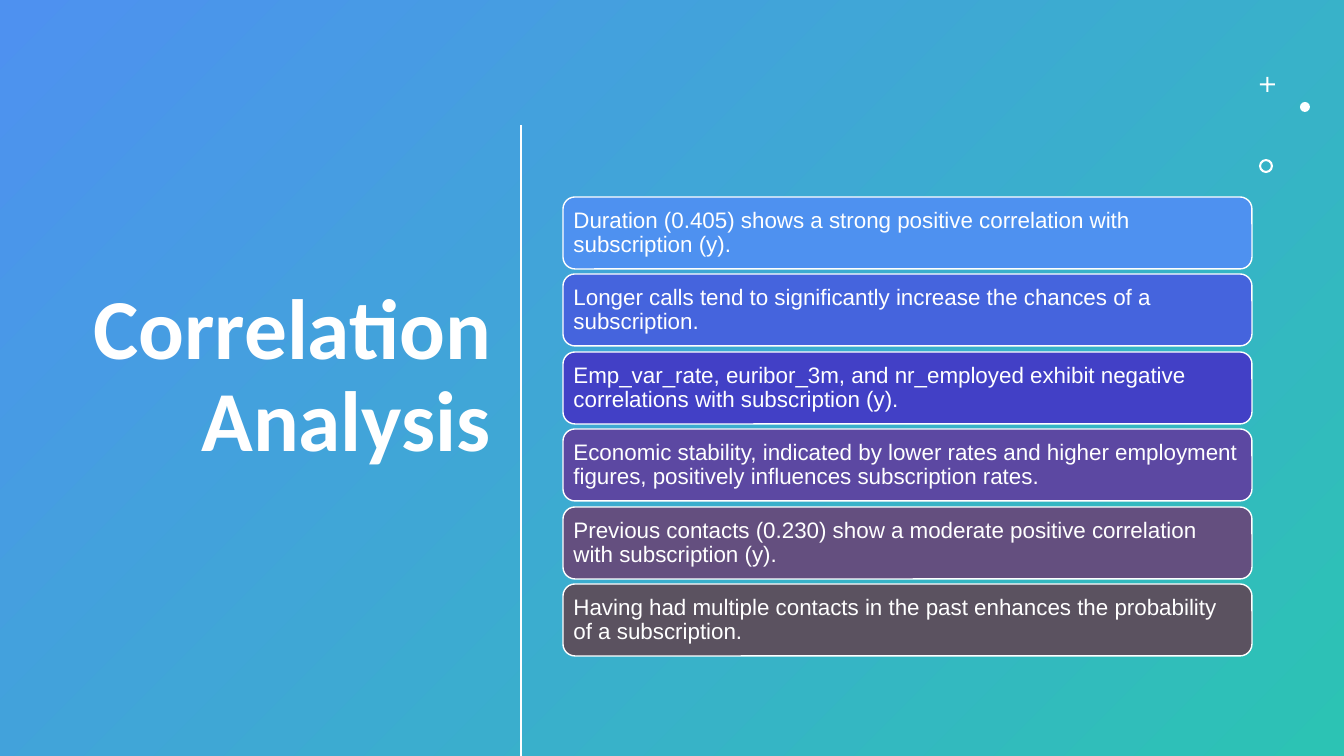
"""Build the Correlation Analysis slide."""
from lxml import etree
from pptx import Presentation
from pptx.dml.color import RGBColor
from pptx.enum.shapes import MSO_CONNECTOR, MSO_SHAPE
from pptx.enum.text import MSO_ANCHOR, PP_ALIGN
from pptx.oxml.ns import qn
from pptx.util import Pt

RECT, CARD = MSO_SHAPE.RECTANGLE, MSO_SHAPE.ROUNDED_RECTANGLE
CROSS, OVAL, RING = MSO_SHAPE.CROSS, MSO_SHAPE.OVAL, MSO_SHAPE.DONUT
LINE = MSO_CONNECTOR.STRAIGHT
MIDDLE = MSO_ANCHOR.MIDDLE
LEFT, RIGHT = PP_ALIGN.LEFT, PP_ALIGN.RIGHT

WHITE = RGBColor(0xFF, 0xFF, 0xFF)
BLUE = RGBColor(0x4E, 0x91, 0xF0)
TEAL = RGBColor(0x2C, 0xC3, 0xB4)
ROYAL = RGBColor(0x45, 0x64, 0xDD)
INDIGO = RGBColor(0x42, 0x40, 0xC6)
VIOLET = RGBColor(0x5C, 0x48, 0xA2)
PLUM = RGBColor(0x64, 0x4F, 0x7F)
GREY = RGBColor(0x5B, 0x52, 0x60)

SCALE = 914400 / 100.8


def px(*sizes):
    return [round(size * SCALE) for size in sizes]


def write(shape, text, font, size, align, inset, bold=False):
    frame = shape.text_frame
    frame.word_wrap = True
    frame.vertical_anchor = MIDDLE
    frame.margin_left, frame.margin_right = px(inset, inset)
    para = frame.paragraphs[0]
    para.alignment = align
    para.line_spacing = 0.9
    run = para.add_run()
    run.text = text
    run.font.name = font
    run.font.size = Pt(size)
    run.font.bold = bold
    run.font.color.rgb = WHITE


deck = Presentation()
deck.slide_width, deck.slide_height = px(1344, 756)
slide = deck.slides.add_slide(deck.slide_layouts[6])
shapes = slide.shapes

back = shapes.add_shape(RECT, *px(0, 0, 1344, 756))
back.shadow.inherit = False
back.line.fill.background()
back.fill.gradient()
back.fill.gradient_angle = 315
for stop, color in zip(back.fill.gradient_stops, (BLUE, TEAL)):
    stop.color.rgb = color

title = shapes.add_textbox(*px(20, 70, 481, 616))
write(title, "Correlation Analysis", "Calibri", 61, RIGHT, 10, True)

rule = shapes.add_connector(LINE, *px(521, 125, 521, 756))
rule.line.color.rgb = WHITE
rule.line.width = Pt(2)
etree.SubElement(rule.element.spPr, qn("a:effectLst"))

marks = [
    (CROSS, 1260, 77, 15, 0.43),
    (OVAL, 1300, 102, 10, None),
    (RING, 1259, 159, 14, 0.15),
]
for kind, left, top, size, adjust in marks:
    mark = shapes.add_shape(kind, *px(left, top, size, size))
    mark.shadow.inherit = False
    mark.fill.solid()
    mark.fill.fore_color.rgb = WHITE
    mark.line.fill.background()
    if adjust:
        mark.adjustments[0] = adjust

cards = [
    (BLUE, "Duration (0.405) shows a strong positive correlation with subscription (y)."),
    (ROYAL, "Longer calls tend to significantly increase the chances of a subscription."),
    (INDIGO, "Emp_var_rate, euribor_3m, and nr_employed exhibit negative correlations with subscription (y)."),
    (VIOLET, "Economic stability, indicated by lower rates and higher employment figures, "
             "positively influences subscription rates."),
    (PLUM, "Previous contacts (0.230) show a moderate positive correlation with subscription (y)."),
    (GREY, "Having had multiple contacts in the past enhances the probability of a subscription."),
]
first, final = 197, 584
step = (final - first) / (len(cards) - 1)
for index, (color, text) in enumerate(cards):
    card = shapes.add_shape(CARD, *px(563, round(first + index * step), 689, 72))
    card.shadow.inherit = False
    card.fill.solid()
    card.fill.fore_color.rgb = color
    card.line.color.rgb = WHITE
    card.line.width = Pt(1)
    write(card, text, "Arial", 16, LEFT, 7)

deck.save("out.pptx")
